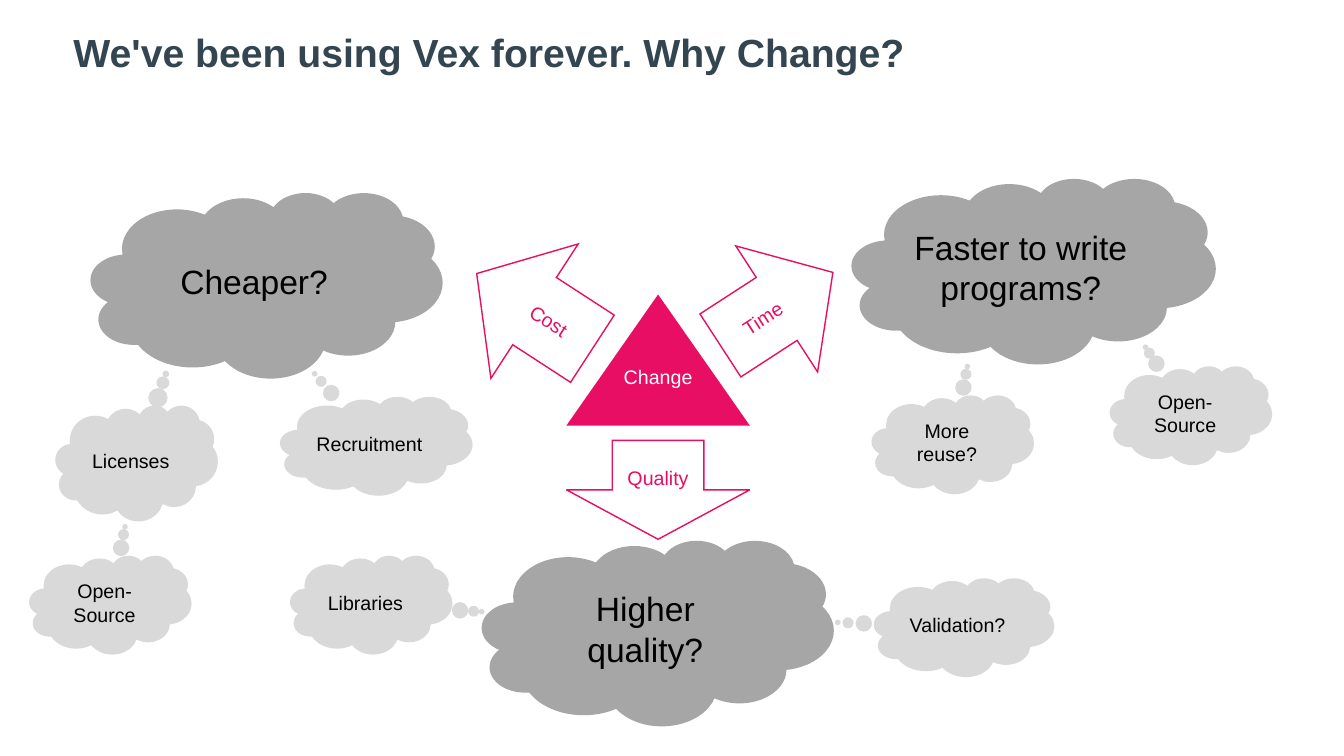
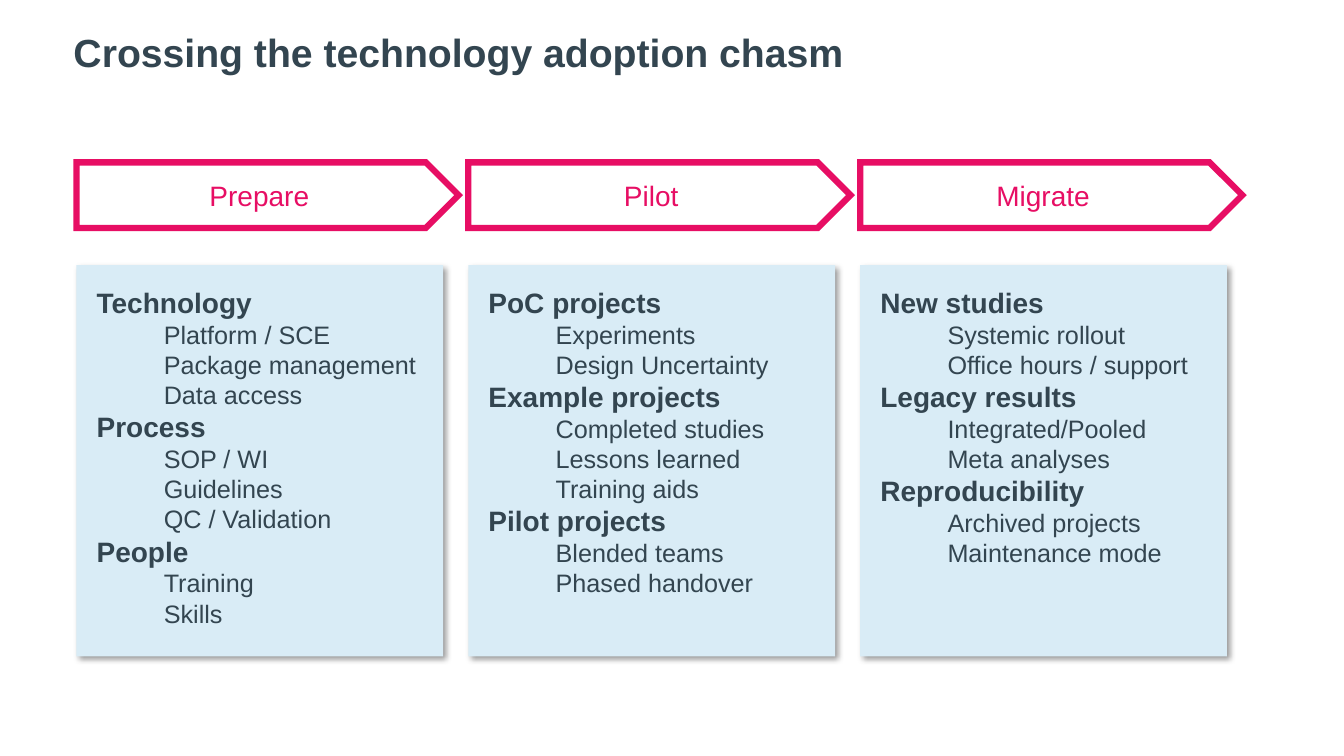
import pptx
import pptx.dml.color
import pptx.enum.shapes
import pptx.enum.text
import pptx.oxml
import pptx.oxml.ns
import pptx.util
from dataclasses import dataclass

Pt = pptx.util.Pt
MSO = pptx.enum.shapes.MSO_SHAPE
ANCHOR = pptx.enum.text.MSO_ANCHOR
ALIGN = pptx.enum.text.PP_ALIGN


@dataclass(frozen=True)
class Theme:
    font: str = "Arial"
    ink: str = "334550"
    accent: str = "E70E64"
    white: str = "FFFFFF"
    black: str = "000000"
    cloud: str = "A6A6A6"
    thought: str = "D9D9D9"
    card: str = "D9ECF6"
    title_size: int = 28
    question_size: int = 24
    heading_size: int = 20
    item_size: int = 18
    label_size: int = 14


def rgb(value):
    return pptx.dml.color.RGBColor.from_string(value)


class Deck:
    def __init__(self, theme):
        self.theme = theme
        self.prs = pptx.Presentation()
        self.prs.slide_width, self.prs.slide_height = Pt(960), Pt(540)
        self.slide = None

    def add_slide(self, title):
        t = self.theme
        self.slide = self.prs.slides.add_slide(self.prs.slide_layouts[6])
        sp = self.slide.shapes.add_textbox(Pt(45.4), Pt(4.3), Pt(849), Pt(70))
        tf = sp.text_frame
        tf.word_wrap = True
        tf.vertical_anchor = ANCHOR.MIDDLE
        tf.text = title
        tf.paragraphs[0].line_spacing = 0.9
        self.format_runs(tf.paragraphs[0], t.title_size, t.ink, bold=True)

    def format_runs(self, p, size, color, bold=False):
        for r in p.runs:
            r.font.name = self.theme.font
            r.font.size = Pt(size)
            r.font.bold = bold
            r.font.color.rgb = rgb(color)

    def shape(self, kind, box, fill=None, line=None, weight=1):
        sp = self.slide.shapes.add_shape(kind, *(Pt(v) for v in box))
        sp.shadow.inherit = False
        if fill:
            sp.fill.solid()
            sp.fill.fore_color.rgb = rgb(fill)
        else:
            sp.fill.background()
        if line:
            sp.line.color.rgb = rgb(line)
            sp.line.width = Pt(weight)
            self.sharpen_corners(sp)
        else:
            sp.line.fill.background()
        return sp

    def sharpen_corners(self, sp):
        ln = sp._element.spPr.find(pptx.oxml.ns.qn("a:ln"))
        ln.append(pptx.oxml.parse_xml(
            f'<a:miter {pptx.oxml.ns.nsdecls("a")} lim="800000"/>'))

    def label(self, sp, text, size, color, anchor=ANCHOR.MIDDLE):
        tf = sp.text_frame
        tf.word_wrap = True
        tf.vertical_anchor = anchor
        tf.text = text
        p = tf.paragraphs[0]
        p.alignment = ALIGN.CENTER
        self.format_runs(p, size, color)

    def triangle(self, text, box):
        t = self.theme
        sp = self.shape(MSO.ISOSCELES_TRIANGLE, box, fill=t.accent)
        self.label(sp, text, t.label_size, t.white, ANCHOR.TOP)

    def arrow(self, kind, text, box, size, weight=1, rotation=0, mirrored=False):
        t = self.theme
        sp = self.shape(kind, box, line=t.accent, weight=weight)
        sp.rotation = rotation
        if mirrored:
            sp._element.spPr.xfrm.set("flipH", "1")
        self.label(sp, text, size, t.accent)

    def cloud(self, text, box):
        t = self.theme
        sp = self.shape(MSO.CLOUD, box, fill=t.cloud)
        self.label(sp, text, t.question_size, t.black)

    def thought(self, text, box, tail):
        """Small cloud whose bubbles lead to tail, an offset from its centre."""
        t = self.theme
        sp = self.shape(MSO.CLOUD_CALLOUT, box, fill=t.thought)
        sp.adjustments[0], sp.adjustments[1] = tail
        self.label(sp, text, t.label_size, t.black)

    def drop_shadow(self, sp):
        effects = sp._element.spPr.find(pptx.oxml.ns.qn("a:effectLst"))
        effects.append(pptx.oxml.parse_xml(
            f'<a:outerShdw {pptx.oxml.ns.nsdecls("a")} blurRad="{Pt(4)}" '
            f'dist="{Pt(3)}" dir="2700000" algn="tl" rotWithShape="0">'
            '<a:srgbClr val="000000"><a:alpha val="40000"/></a:srgbClr>'
            '</a:outerShdw>'))

    def card(self, box, groups):
        t = self.theme
        sp = self.shape(MSO.RECTANGLE, box, fill=t.card)
        self.drop_shadow(sp)
        tf = sp.text_frame
        tf.word_wrap = True
        tf.vertical_anchor = ANCHOR.TOP
        tf.margin_left = tf.margin_right = Pt(14.4)
        tf.margin_top = tf.margin_bottom = Pt(14.4)
        lines = [(text, level) for heading, items in groups.items()
                 for text, level in [(heading, 0)] + [(i, 1) for i in items]]
        for n, (text, level) in enumerate(lines):
            p = tf.add_paragraph() if n else tf.paragraphs[0]
            p.text = text
            p.alignment = ALIGN.LEFT
            p.level = level
            if level:
                pPr = p._p.get_or_add_pPr()
                pPr.set("marL", str(Pt(48)))
                pPr.set("indent", "0")
            size = t.item_size if level else t.heading_size
            self.format_runs(p, size, t.ink, bold=not level)


QUESTIONS = [
    ("Faster to write programs?", (608.4, 127.4, 260, 132.5)),
    ("Higher quality?", (344.2, 385.9, 251.3, 132.5)),
    ("Cheaper?", (64.8, 137.5, 251.3, 132.5)),
]

THOUGHTS = [
    ("Licenses", (39.6, 289.4, 116, 82.8), (0.18, -0.77)),
    ("Open-Source", (20.9, 396.7, 116, 70.6), (0.09, -0.79)),
    ("Libraries", (207.2, 396.7, 116, 70.6), (0.68, 0.07)),
    ("Open-Source", (792.7, 261.4, 116, 70.6), (-0.28, -0.69)),
    ("More reuse?", (622.6, 282.2, 116, 70.6), (0.09, -0.79)),
    ("Recruitment", (200, 283.2, 137.5, 70.6), (-0.32, -0.73)),
    ("Validation?", (624.2, 412.8, 128.9, 70.6), (-0.7, -0.05)),
]

PHASES = {
    "Prepare": {
        "Technology": ["Platform / SCE", "Package management", "Data access"],
        "Process": ["SOP / WI", "Guidelines", "QC / Validation"],
        "People": ["Training", "Skills"],
    },
    "Pilot": {
        "PoC projects": ["Experiments", "Design Uncertainty"],
        "Example projects": ["Completed studies", "Lessons learned", "Training aids"],
        "Pilot projects": ["Blended teams", "Phased handover"],
    },
    "Migrate": {
        "New studies": ["Systemic rollout", "Office hours / support"],
        "Legacy results": ["Integrated/Pooled", "Meta analyses"],
        "Reproducibility": ["Archived projects", "Maintenance mode"],
    },
}


def why_change(deck):
    size = deck.theme.label_size
    deck.add_slide("We've been using Vex forever. Why Change?")
    deck.triangle("Change", (404.6, 210.4, 131, 93.6))
    deck.arrow(MSO.RIGHT_ARROW, "Time", (506.9, 167, 95.8, 107.3), size,
               rotation=327)
    deck.arrow(MSO.RIGHT_ARROW, "Cost", (332.6, 165, 98.6, 114.5), size,
               rotation=33, mirrored=True)
    deck.arrow(MSO.DOWN_ARROW, "Quality", (404.6, 314.6, 131, 70.6), size)
    for text, box in QUESTIONS:
        deck.cloud(text, box)
    for text, box, tail in THOUGHTS:
        deck.thought(text, box, tail)


def adoption_chasm(deck):
    left, pitch = 54.6, 279.9
    deck.add_slide("Crossing the technology adoption chasm")
    for n, (phase, groups) in enumerate(PHASES.items()):
        x = left + n * pitch
        deck.arrow(MSO.PENTAGON, phase, (x, 116, 273, 46.8),
                   deck.theme.heading_size, weight=4.5)
        deck.card((x, 189.4, 262, 279.4), groups)


def main():
    deck = Deck(Theme())
    why_change(deck)
    adoption_chasm(deck)
    deck.prs.save("out.pptx")


if __name__ == "__main__":
    main()
